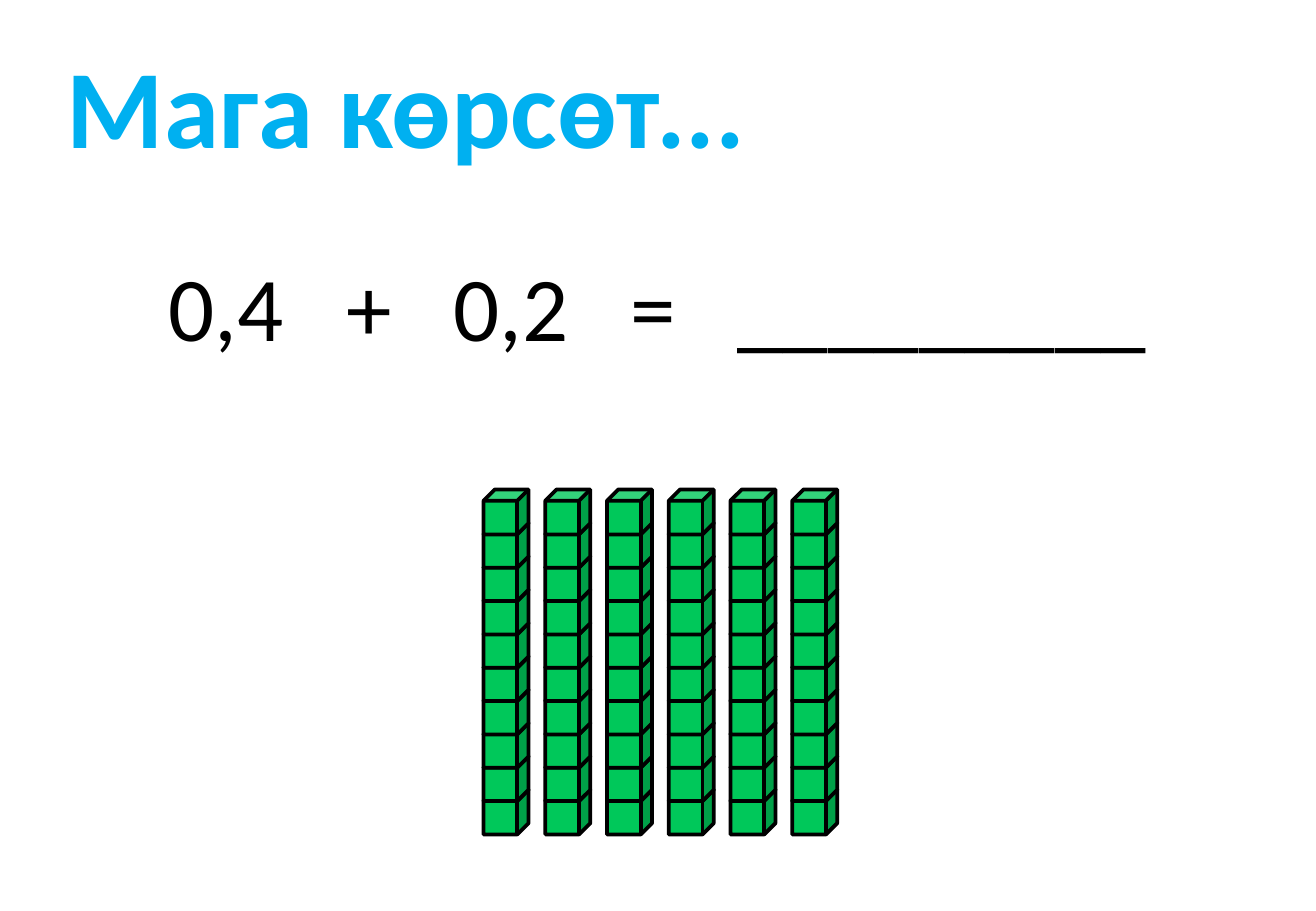
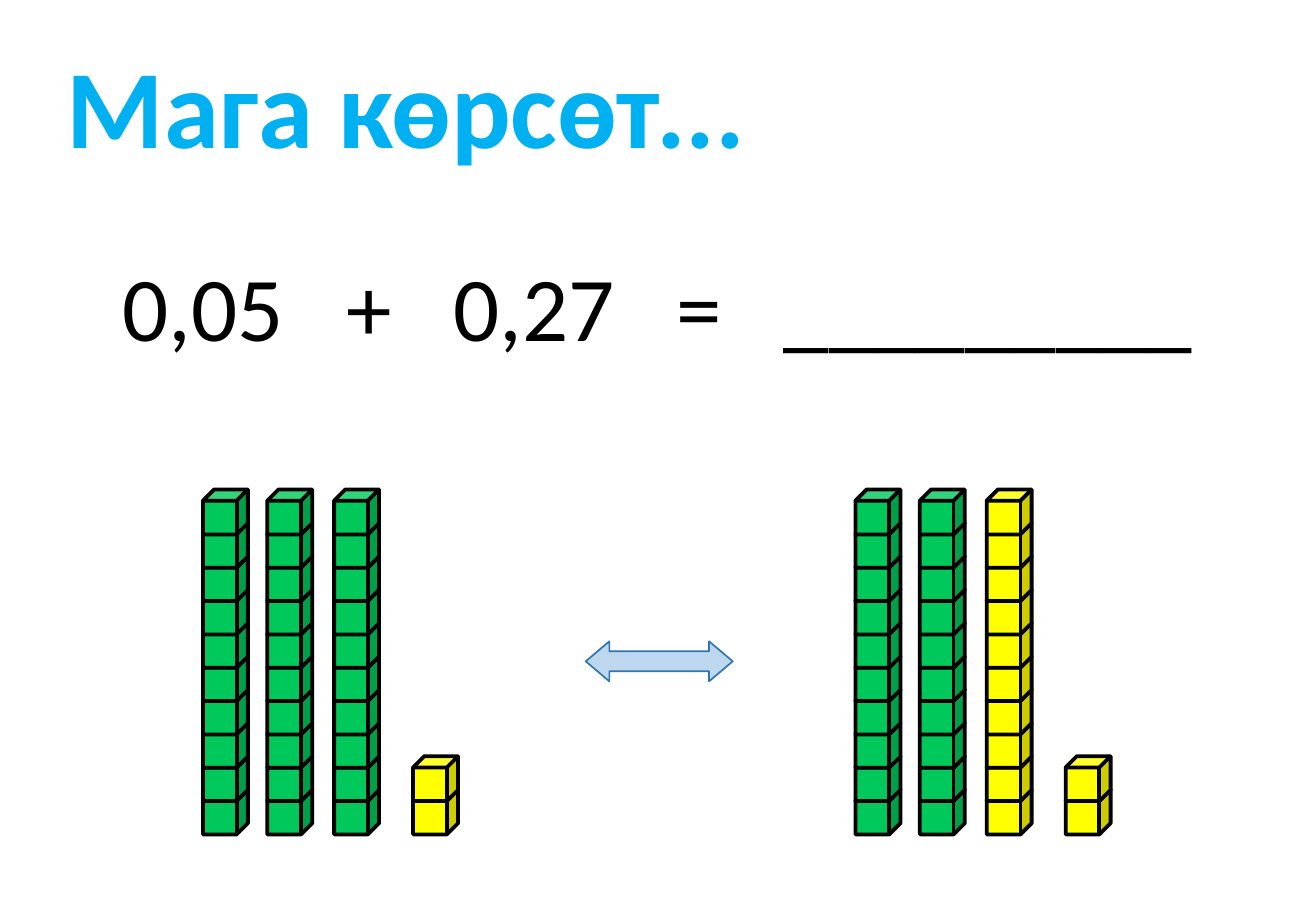
"""Build two slides that show decimal addition with base-ten cubes."""
from dataclasses import dataclass

from lxml import etree
from pptx import Presentation
from pptx.dml.color import RGBColor
from pptx.enum.shapes import MSO_SHAPE
from pptx.enum.text import MSO_ANCHOR, MSO_AUTO_SIZE, PP_ALIGN
from pptx.oxml.ns import qn
from pptx.util import Inches, Pt

CUBE = MSO_SHAPE.CUBE
DOUBLE_ARROW = MSO_SHAPE.LEFT_RIGHT_ARROW
TOP = MSO_ANCHOR.TOP
GROW = MSO_AUTO_SIZE.SHAPE_TO_FIT_TEXT
LEFT = PP_ALIGN.LEFT
TITLE_ONLY = 5


@dataclass(frozen=True)
class Theme:
    font: str = "Calibri"
    title_size: int = 66
    equation_size: int = 54
    title: str = "00B0F0"
    ink: str = "000000"
    green: str = "00C85A"
    yellow: str = "FFFF00"
    arrow_fill: str = "BDD7EE"
    arrow_line: str = "2E75B6"
    cube_outline: float = 2.25
    arrow_outline: float = 1


class Lesson:
    CUBE_SIZE = 0.37
    ROD_TOP, ROD_BASE, ROD_CUBES = 4.03, 6.5, 10
    DIGIT, COMMA, SIGN, GAP = 0.38, 0.19, 0.37, 0.51

    def __init__(self, theme):
        self.theme = theme
        self.deck = Presentation()
        self.deck.slide_width = Inches(10.83)
        self.deck.slide_height = Inches(7.5)
        self.slide = None

    def add_slide(self, heading):
        self.slide = self.deck.slides.add_slide(self.deck.slide_layouts[TITLE_ONLY])
        title = self.slide.shapes.title
        places = {"left": 0.24, "top": 0.26, "width": 7.54, "height": 1.21}
        for side, length in places.items():
            setattr(title, side, Inches(length))
        self.set_text(title.text_frame, heading, 0.31,
                      self.theme.title_size, self.theme.title, True)

    def set_text(self, frame, text, inset, size, color, bold=False, stops=()):
        frame_format = {"word_wrap": True, "auto_size": GROW, "vertical_anchor": TOP,
                        "margin_left": Inches(inset)}
        for name, value in frame_format.items():
            setattr(frame, name, value)
        paragraph = frame.paragraphs[0]
        paragraph.text = text
        paragraph.alignment = LEFT
        if stops:
            tabs = etree.SubElement(paragraph._p.get_or_add_pPr(), qn("a:tabLst"))
            for stop in stops:
                etree.SubElement(tabs, qn("a:tab"), pos=str(Inches(stop)), algn="l")
        font = paragraph.runs[0].font
        font_format = {"name": self.theme.font, "size": Pt(size), "bold": bold}
        for name, value in font_format.items():
            setattr(font, name, value)
        font.color.rgb = RGBColor.from_string(color)

    def add_equation(self, first, second, left, width):
        widths = [self.number_width(first), self.SIGN, self.number_width(second), self.SIGN]
        stops = [sum(widths[:n]) + n * self.GAP for n in range(1, len(widths) + 1)]
        box = self.slide.shapes.add_textbox(
            Inches(left), Inches(2.01), Inches(width), Inches(1.01))
        self.set_text(box.text_frame, "\t".join((first, "+", second, "=", "_" * 9)), 0.14,
                      self.theme.equation_size, self.theme.ink, stops=stops)

    def number_width(self, number):
        return self.DIGIT * (len(number) - 1) + self.COMMA

    def add_figure(self, shapes, kind, place, fill, line, weight):
        figure = shapes.add_shape(kind, *(Inches(length) for length in place))
        figure.shadow.inherit = False
        figure.fill.solid()
        figure.fill.fore_color.rgb = RGBColor.from_string(fill)
        figure.line.color.rgb = RGBColor.from_string(line)
        figure.line.width = Pt(weight)
        return figure

    def stack_cubes(self, shapes, left, color, count):
        pitch = (self.ROD_BASE - self.ROD_TOP) / (self.ROD_CUBES - 1)
        for level in range(count):
            place = (left, self.ROD_BASE - level * pitch, self.CUBE_SIZE, self.CUBE_SIZE)
            self.add_figure(shapes, CUBE, place, color,
                            self.theme.ink, self.theme.cube_outline)

    def add_rod(self, left, color):
        self.stack_cubes(self.slide.shapes.add_group_shape().shapes,
                         left, color, self.ROD_CUBES)

    def add_ones(self, left, color, count):
        self.stack_cubes(self.slide.shapes, left, color, count)

    def add_exchange_arrow(self):
        arrow = self.add_figure(self.slide.shapes, DOUBLE_ARROW, (4.82, 5.28, 1.21, 0.33),
                                self.theme.arrow_fill, self.theme.arrow_line,
                                self.theme.arrow_outline)
        arrow.adjustments[1] = 0.59


def main():
    theme = Theme()
    lesson = Lesson(theme)
    heading = "Мага көрсөт..."

    lesson.add_slide(heading)
    lesson.add_equation("0,4", "0,2", 1.25, 8.33)
    first_rod, last_rod, tenths = 3.98, 6.52, 6
    for tenth in range(tenths):
        lesson.add_rod(first_rod + tenth * (last_rod - first_rod) / (tenths - 1), theme.green)

    lesson.add_slide(heading)
    lesson.add_equation("0,05", "0,27", 0.87, 9.1)
    for left, third_rod in ((1.67, theme.green), (7.04, theme.yellow)):
        for offset, color in ((0, theme.green), (0.53, theme.green), (1.08, third_rod)):
            lesson.add_rod(left + offset, color)
        lesson.add_ones(left + 1.73, theme.yellow, 2)
    lesson.add_exchange_arrow()

    lesson.deck.save("out.pptx")


if __name__ == "__main__":
    main()
